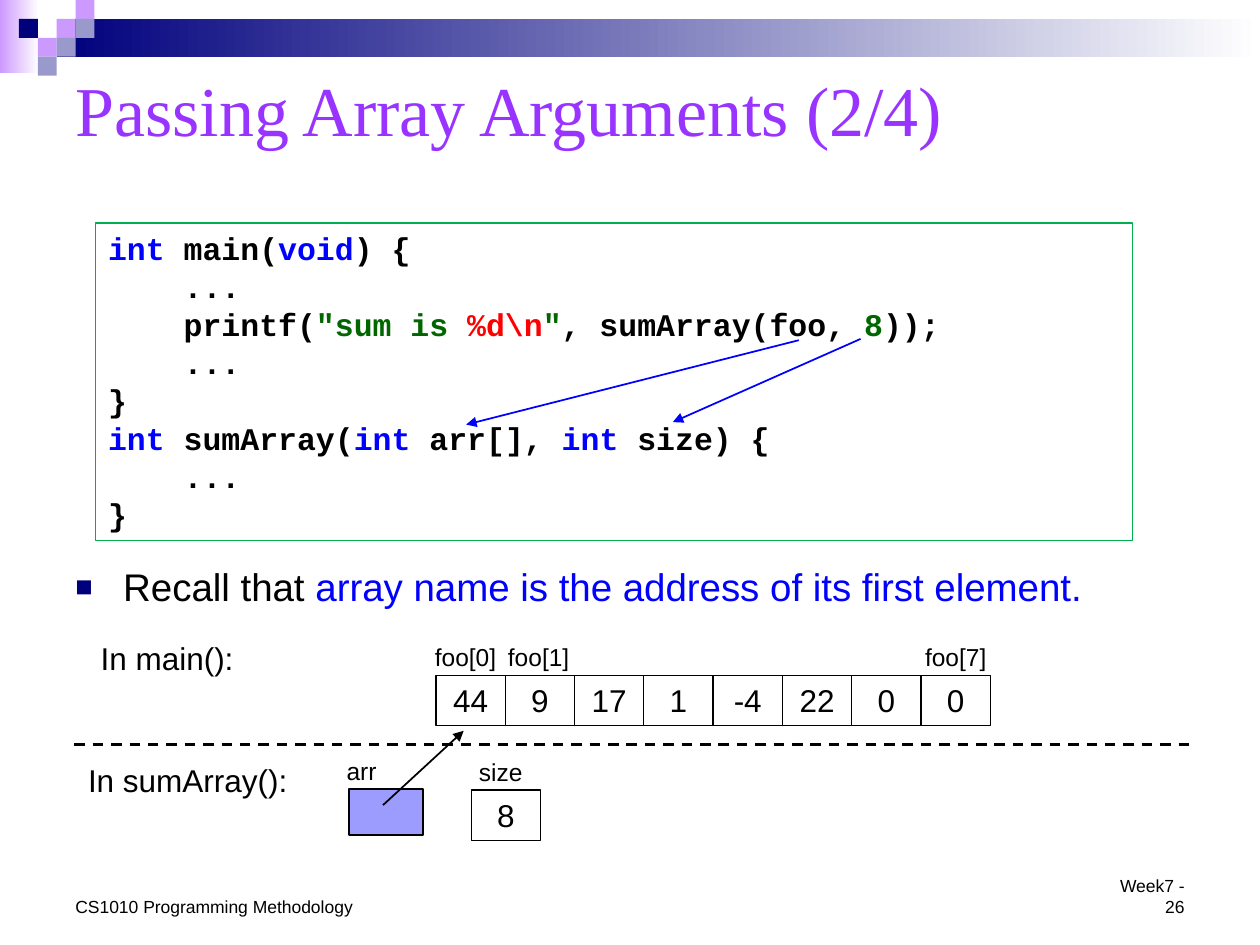
from lxml import etree
from pptx import Presentation
from pptx.dml.color import RGBColor
from pptx.enum.dml import MSO_LINE
from pptx.enum.shapes import MSO_CONNECTOR, MSO_SHAPE
from pptx.enum.text import MSO_ANCHOR, PP_ALIGN
from pptx.oxml.ns import qn
from pptx.util import Inches, Pt

RECTANGLE = MSO_SHAPE.RECTANGLE
STRAIGHT = MSO_CONNECTOR.STRAIGHT
DASH = MSO_LINE.DASH
LEFT, CENTER, RIGHT = PP_ALIGN.LEFT, PP_ALIGN.CENTER, PP_ALIGN.RIGHT
TOP, MIDDLE, BOTTOM = MSO_ANCHOR.TOP, MSO_ANCHOR.MIDDLE, MSO_ANCHOR.BOTTOM

BLACK = RGBColor(0x00, 0x00, 0x00)
WHITE = RGBColor(0xFF, 0xFF, 0xFF)
NAVY = RGBColor(0x00, 0x00, 0x7D)
LILAC = RGBColor(0xCC, 0x99, 0xFF)
SLATE = RGBColor(0x99, 0x99, 0xCC)
PURPLE = RGBColor(0x99, 0x33, 0xFF)
BLUE = RGBColor(0x00, 0x00, 0xFF)
RED = RGBColor(0xFF, 0x00, 0x00)
DARK_GREEN = RGBColor(0x00, 0x66, 0x00)
BORDER_GREEN = RGBColor(0x00, 0xB0, 0x50)
PERIWINKLE = RGBColor(0x9C, 0x9C, 0xFF)

SQUARE = 0.15
CELL_WIDTH = 0.55
CODE_INDENT = 0.6

# Column and row of each decorative square, back to front
SQUARES = [
    (3, 1, LILAC), (4, 0, LILAC), (4, 1, SLATE), (2, 2, LILAC),
    (1, 1, NAVY), (3, 2, SLATE), (2, 3, SLATE),
]
# Indent level and coloured pieces of each code line
CODE = [
    (0, [("int", BLUE), (" main(", BLACK), ("void", BLUE), (") {", BLACK)]),
    (1, [("...", BLACK)]),
    (1, [("printf(", BLACK), ('"sum is ', DARK_GREEN), ("%d\\n", RED),
         ('"', DARK_GREEN), (", sumArray(foo, ", BLACK), ("8", DARK_GREEN),
         ("));", BLACK)]),
    (1, [("...", BLACK)]),
    (0, [("}", BLACK)]),
    (0, [("int ", BLUE), ("sumArray(", BLACK), ("int ", BLUE),
         ("arr[], ", BLACK), ("int", BLUE), (" size) {", BLACK)]),
    (1, [("...", BLACK)]),
    (0, [("}", BLACK)]),
]
FOO_VALUES = ["44", "9", "17", "1", "-4", "22", "0", "0"]


def set_indent(para, margin, first_line=0.0):
    properties = para._p.get_or_add_pPr()
    properties.set("marL", str(Inches(margin)))
    properties.set("indent", str(Inches(first_line)))


def add_span(para, text, size=18, font="Arial", color=BLACK, bold=False):
    span = para.add_run()
    span.text = text
    span.font.size = Pt(size)
    span.font.name = font
    span.font.color.rgb = color
    span.font.bold = bold


def write(box, text, align=LEFT, anchor=TOP, **font):
    """Put one paragraph into a box and return it."""
    frame = box.text_frame
    frame.word_wrap = True
    frame.vertical_anchor = anchor
    para = frame.paragraphs[0]
    para.alignment = align
    add_span(para, text, **font)
    return para


def add_text(slide, text, left, top, width, height, **style):
    box = slide.shapes.add_textbox(
        Inches(left), Inches(top), Inches(width), Inches(height))
    return write(box, text, **style)


def add_box(slide, left, top, width, height, fill, line=None, weight=0.75):
    """Add a rectangle; a pair of colours as fill makes a gradient."""
    box = slide.shapes.add_shape(
        RECTANGLE, Inches(left), Inches(top), Inches(width), Inches(height))
    box.shadow.inherit = False
    if isinstance(fill, list):
        box.fill.gradient()
        box.fill.gradient_angle = 0
        for stop, color in zip(box.fill.gradient_stops, fill):
            stop.color.rgb = color
    else:
        box.fill.solid()
        box.fill.fore_color.rgb = fill
    if line is None:
        box.line.fill.background()
    else:
        box.line.color.rgb = line
        box.line.width = Pt(weight)
    return box


def add_line(slide, start, end, color=BLACK, weight=1, dash=None, arrow=True):
    line = slide.shapes.add_connector(
        STRAIGHT, *(Inches(value) for value in (*start, *end)))
    line.line.color.rgb = color
    line.line.width = Pt(weight)
    if dash is not None:
        line.line.dash_style = dash
    if arrow:
        etree.SubElement(line.line._get_or_add_ln(), qn("a:tailEnd"),
                         type="triangle")
    etree.SubElement(line._element.spPr, qn("a:effectLst"))


def add_value_cell(slide, value, left, top):
    cell = add_box(slide, left, top, CELL_WIDTH, 0.4, WHITE, BLACK)
    write(cell, value, align=CENTER)


def add_bullet(para, color, percent):
    properties = para._p.get_or_add_pPr()
    bullet_color = etree.SubElement(properties, qn("a:buClr"))
    etree.SubElement(bullet_color, qn("a:srgbClr"), val=str(color))
    etree.SubElement(properties, qn("a:buSzPct"), val=str(percent * 1000))
    etree.SubElement(properties, qn("a:buFont"), typeface="Arial")
    etree.SubElement(properties, qn("a:buChar"), char="■")


def add_banner(slide):
    add_box(slide, 0, 0, 0.31, 0.58, [LILAC, WHITE])
    add_box(slide, 3 * SQUARE, SQUARE, 9.55, 2 * SQUARE, [NAVY, WHITE])
    for column, row, color in SQUARES:
        add_box(slide, column * SQUARE, row * SQUARE, SQUARE, SQUARE, color)


def add_code(slide):
    box = add_box(slide, 0.76, 1.77, 8.23, 2.52, WHITE, BORDER_GREEN)
    frame = box.text_frame
    frame.word_wrap = True
    frame.vertical_anchor = TOP
    for number, (level, pieces) in enumerate(CODE):
        para = frame.add_paragraph() if number else frame.paragraphs[0]
        para.alignment = LEFT
        para.line_spacing = Pt(21.7)
        set_indent(para, level * CODE_INDENT)
        for text, color in pieces:
            add_span(para, text, font="Courier New", color=color, bold=True)
    add_line(slide, (6.34, 2.7), (3.7, 3.37), color=BLUE)
    add_line(slide, (6.83, 2.69), (5.34, 3.35), color=BLUE)


def add_recall(slide):
    para = add_text(slide, "Recall that ", 0.5, 4.42, 9, 0.47, size=22)
    add_span(para, "array name is the address of its first element.",
             size=22, color=BLUE)
    set_indent(para, 0.38, -0.38)
    add_bullet(para, NAVY, 75)


def add_memory(slide):
    """Draw the variables of main() above those of sumArray()."""
    add_text(slide, "In main():", 0.7, 5.02, 1.41, 0.4)
    for index, left, width in ((0, 3.33, 0.73), (1, 3.93, 0.69), (7, 7.19, 0.79)):
        add_text(slide, f"foo[{index}]", left, 5.05, width, 0.34,
                 size=14, align=CENTER)
    for index, value in enumerate(FOO_VALUES):
        add_value_cell(slide, value, 3.46 + index * CELL_WIDTH, 5.36)

    add_line(slide, (0.59, 5.91), (9.45, 5.91), weight=1.5, dash=DASH, arrow=False)

    add_text(slide, "In sumArray():", 0.6, 5.99, 1.81, 0.4)
    add_text(slide, "arr", 2.6, 5.95, 0.54, 0.34, size=14, align=CENTER)
    add_box(slide, 2.77, 6.26, 0.59, 0.37, PERIWINKLE, BLACK, weight=1)
    add_line(slide, (3.04, 6.39), (3.68, 5.8))
    add_text(slide, "size", 3.61, 5.96, 0.73, 0.34, size=14, align=CENTER)
    add_value_cell(slide, "8", 3.74, 6.27)


def main():
    deck = Presentation()
    deck.slide_width, deck.slide_height = Inches(10), Inches(7.5)
    slide = deck.slides.add_slide(deck.slide_layouts[6])
    add_banner(slide)
    add_text(slide, "Passing Array Arguments (2/4)", 0.5, 0.42, 9, 0.88,
             anchor=MIDDLE, size=40, font="Times New Roman", color=PURPLE)
    add_code(slide)
    add_recall(slide)
    add_memory(slide)
    add_text(slide, "CS1010 Programming Methodology", 0.5, 7.06, 2.42, 0.27,
             anchor=BOTTOM, size=10)
    add_text(slide, "Week7 - 26", 8.66, 7.06, 0.84, 0.27,
             align=RIGHT, anchor=BOTTOM, size=10)
    deck.save("out.pptx")


if __name__ == "__main__":
    main()
